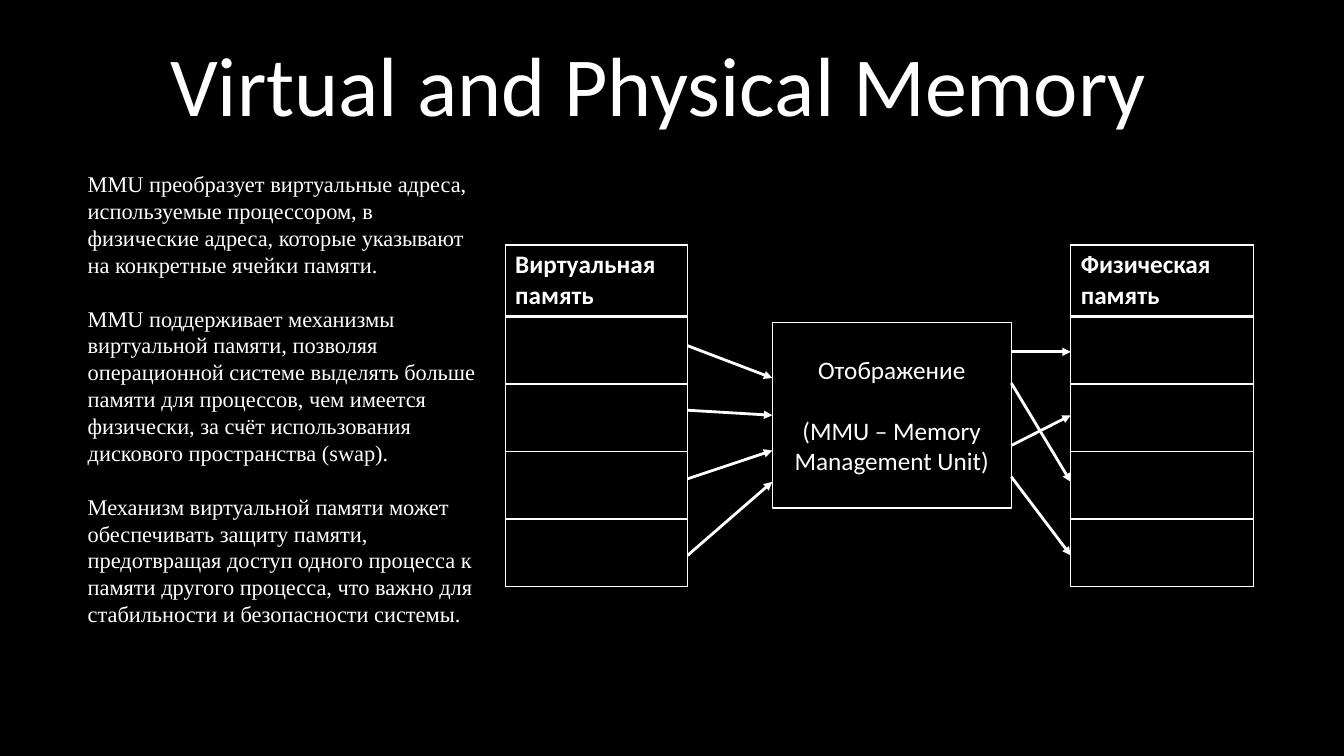
from lxml.etree import SubElement
from pptx import Presentation
from pptx.dml.color import RGBColor
from pptx.enum.shapes import MSO_CONNECTOR, MSO_SHAPE
from pptx.enum.text import MSO_ANCHOR as Anchor, MSO_AUTO_SIZE as AutoSize, PP_ALIGN as Align
from pptx.oxml.ns import qn
from pptx.util import Inches, Pt

COLORS = {"ground": "000000", "ink": "FFFFFF"}
GROUND, INK = (RGBColor.from_string(COLORS[name]) for name in ("ground", "ink"))

# Columns of the diagram and the rows of the memory tables, in inches
VIRTUAL_LEFT, PHYSICAL_LEFT, MEMORY_WIDTH = 5.01, 10.62, 1.81
MEMORY_TOP, HEADER_HEIGHT, PAGE_HEIGHT, PAGES = 2.43, 0.71, 0.67, 4
MMU_LEFT, MMU_TOP, MMU_WIDTH, MMU_HEIGHT = 7.66, 3.2, 2.37, 1.84
VIRTUAL_RIGHT, MMU_RIGHT = VIRTUAL_LEFT + MEMORY_WIDTH, MMU_LEFT + MMU_WIDTH


def write(frame, paragraphs, font, size, align, gap=0, line_spacing=None, bold=False):
    """Fill a text frame, leaving gap points between its paragraphs."""
    frame.word_wrap = True
    for index, wording in enumerate(paragraphs):
        paragraph = frame.paragraphs[0] if index == 0 else frame.add_paragraph()
        paragraph.text = wording
        paragraph.alignment = align
        paragraph.space_before = Pt(0)
        paragraph.space_after = Pt(gap if index < len(paragraphs) - 1 else 0)
        paragraph.line_spacing = line_spacing
        paragraph.font.name = font
        paragraph.font.size = Pt(size)
        paragraph.font.bold = bold
        paragraph.font.color.rgb = INK


def border(cell, bottom_width):
    for side in ("lnL", "lnR", "lnT", "lnB"):
        width = bottom_width if side == "lnB" else 1
        line = SubElement(cell._tc.get_or_add_tcPr(), qn(f"a:{side}"), w=str(Pt(width)))
        SubElement(SubElement(line, qn("a:solidFill")), qn("a:srgbClr"), val=COLORS["ink"])


presentation = Presentation()
presentation.slide_width, presentation.slide_height = Inches(13.33), Inches(7.5)
slide = presentation.slides.add_slide(presentation.slide_layouts[0])
slide.background.fill.solid()
slide.background.fill.fore_color.rgb = GROUND

# Title and explanation
title, explanation = slide.placeholders
for part, box in ((title, (-0.27, 0.38, 13.6, 1.01)), (explanation, (0.77, 1.64, 4.07, 4.95))):
    part.left, part.top, part.width, part.height = map(Inches, box)
    part.text_frame.auto_size = AutoSize.NONE
title.text_frame.vertical_anchor = Anchor.BOTTOM
write(title.text_frame, ["Virtual and Physical Memory"], "Calibri", 60, Align.CENTER,
      line_spacing=0.9)
explanation.text_frame.vertical_anchor = Anchor.TOP
write(explanation.text_frame, [
    "MMU преобразует виртуальные адреса, используемые процессором, в физические адреса, "
    "которые указывают на конкретные ячейки памяти.",
    "MMU поддерживает механизмы виртуальной памяти, позволяя операционной системе выделять "
    "больше памяти для процессов, чем имеется физически, за счёт использования дискового "
    "пространства (swap).",
    "Механизм виртуальной памяти может обеспечивать защиту памяти, предотвращая доступ одного "
    "процесса к памяти другого процесса, что важно для стабильности и безопасности системы.",
], "Times New Roman", 16, Align.LEFT, gap=19.2, line_spacing=Pt(19.2))

# Virtual and physical memory
for left, heading in ((VIRTUAL_LEFT, "Виртуальная память"), (PHYSICAL_LEFT, "Физическая память")):
    memory = slide.shapes.add_table(
        PAGES + 1, 1, Inches(left), Inches(MEMORY_TOP), Inches(MEMORY_WIDTH),
        Inches(HEADER_HEIGHT + PAGES * PAGE_HEIGHT)).table
    for index, row in enumerate(memory.rows):
        row.height = Inches(PAGE_HEIGHT if index else HEADER_HEIGHT)
        cell = row.cells[0]
        border(cell, 1 if index else 3)
        if index == 1:
            cell._tc.tcPr.find(qn("a:lnT")).set("w", str(Pt(3)))
        cell.fill.solid()
        cell.fill.fore_color.rgb = GROUND
    write(memory.cell(0, 0).text_frame, [heading], "Calibri", 18, Align.LEFT, bold=True)

# Mapping unit
mmu = slide.shapes.add_shape(MSO_SHAPE.RECTANGLE, Inches(MMU_LEFT), Inches(MMU_TOP),
                             Inches(MMU_WIDTH), Inches(MMU_HEIGHT))
mmu.shadow.inherit = False
mmu.fill.solid()
mmu.fill.fore_color.rgb = GROUND
mmu.line.color.rgb = INK
mmu.line.width = Pt(1)
mmu.text_frame.vertical_anchor = Anchor.MIDDLE
write(mmu.text_frame, ["Отображение", "(MMU – Memory Management Unit)"], "Calibri", 18,
      Align.CENTER, gap=22)

# Arrows: heights at which each one leaves and arrives
MMU_MIDDLE = MMU_TOP + MMU_HEIGHT / 2
to_mmu = [(3.43, 3.75), (4.07, MMU_MIDDLE), (4.75, 4.47), (5.51, 4.78)]
to_physical = [(3.49, 3.49), (3.8, 4.78), (4.42, 4.12), (4.73, 5.51)]
for start_x, end_x, heights in ((VIRTUAL_RIGHT, MMU_LEFT, to_mmu),
                                (MMU_RIGHT, PHYSICAL_LEFT, to_physical)):
    for start_y, end_y in heights:
        arrow = slide.shapes.add_connector(MSO_CONNECTOR.STRAIGHT, Inches(start_x),
                                           Inches(start_y), Inches(end_x), Inches(end_y))
        if (end_x, end_y) == (MMU_LEFT, MMU_MIDDLE):
            arrow.end_connect(mmu, 1)
        arrow.line.color.rgb = INK
        arrow.line.width = Pt(2)
        SubElement(arrow.line._get_or_add_ln(), qn("a:tailEnd"), type="triangle")
        SubElement(arrow._element.spPr, qn("a:effectLst"))

presentation.save("out.pptx")
